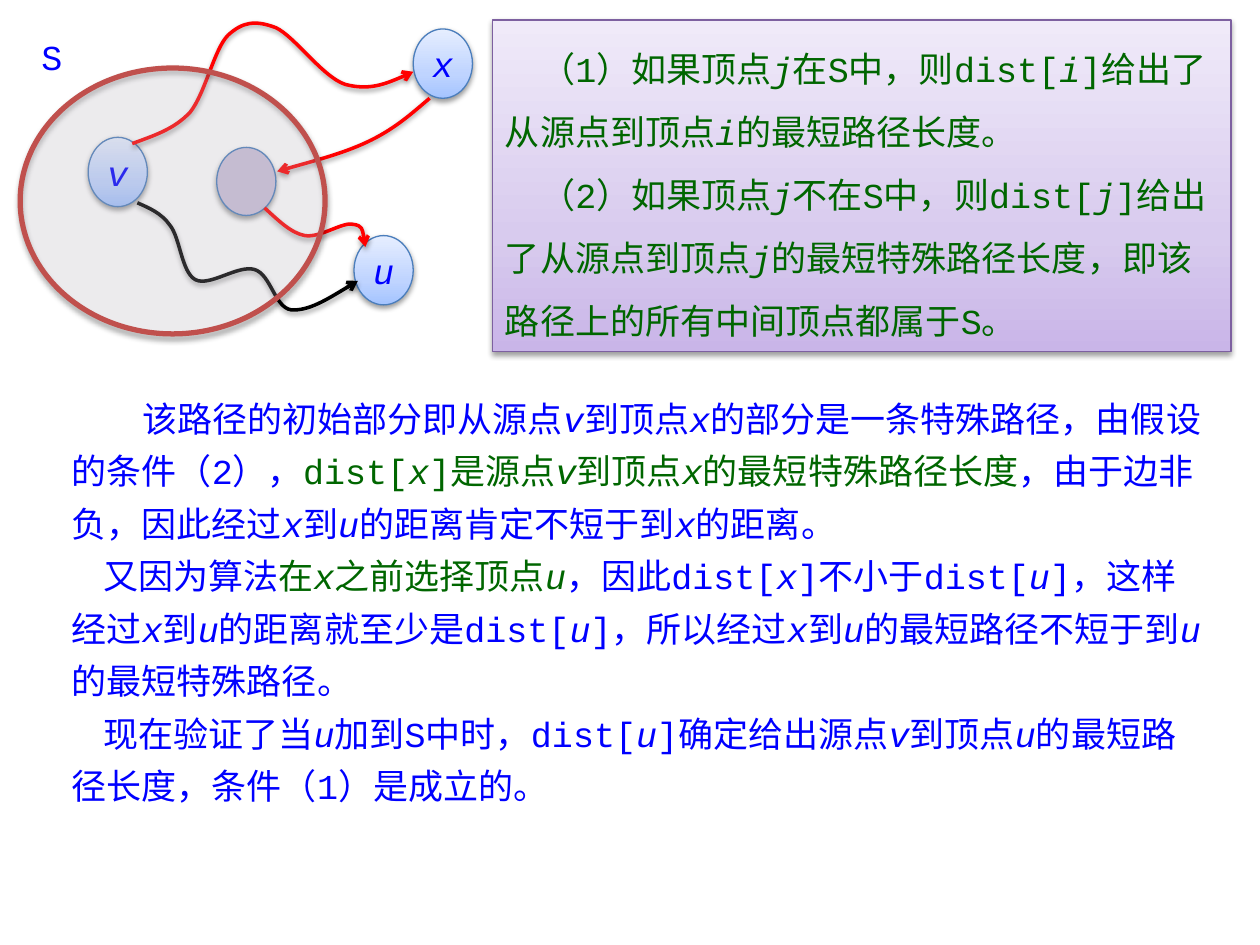
from collections import namedtuple

from lxml.etree import SubElement
from pptx import Presentation
from pptx.dml.color import RGBColor
from pptx.enum.shapes import MSO_SHAPE as Preset
from pptx.enum.text import MSO_ANCHOR as Anchor, PP_ALIGN as Align
from pptx.oxml.ns import qn
from pptx.util import Inches, Pt

# The slide is a grid of 1000 columns by 750 rows; every length counts its cells.
COLUMNS, ROWS = 1000, 750
CELL = Inches(10) // COLUMNS
FONT = "Courier New"
COLORS = {
    "blue": "0000FF", "green": "006600", "red": "FF0000", "black": "000000",
    "node_line": "4B7EBC", "inner_node": "CCC1DA",
    "set_fill": "E6E0EC", "set_line": "C0504D", "panel_line": "7D60A0",
}
NODE_GRADIENT = ((0, "A4C4FF"), (35, "BFD4FF"), (100, "E6EEFF"))
PANEL_GRADIENT = ((0, "C9B5E8"), (35, "D8CBEE"), (100, "F0EAF9"))

# *...* is italic, |...| takes the accent colour.
CONDITIONS = (
    "（1）如果顶点*j*在S中，则dist[*i*]给出了从源点到顶点*i*的最短路径长度。",
    "（2）如果顶点*j*不在S中，则dist[*j*]给出了从源点到顶点*j*的最短特殊路径长度，"
    "即该路径上的所有中间顶点都属于S。",
)
PROOF = (
    "该路径的初始部分即从源点*v*到顶点*x*的部分是一条特殊路径，由假设的条件（2），"
    "|dist[*x*]是源点*v*到顶点*x*的最短特殊路径长度|，由于边非负，"
    "因此经过*x*到*u*的距离肯定不短于到*x*的距离。",
    "又因为算法|在*x*之前选择顶点*u*|，因此dist[*x*]不小于dist[*u*]，"
    "这样经过*x*到*u*的距离就至少是dist[*u*]，所以经过*x*到*u*的最短路径"
    "不短于到*u*的最短特殊路径。",
    "现在验证了当*u*加到S中时，dist[*u*]确定给出源点*v*到顶点*u*的最短路径长度，"
    "条件（1）是成立的。",
)

# Each path: colour, then a start point and three points for every Bézier curve.
PATHS = (
    ("black", ((109, 161), (118, 165), (128, 169), (135, 179), (143, 189),
               (144, 216), (155, 222), (166, 228), (189, 210), (202, 214),
               (215, 218), (218, 244), (231, 246), (245, 247), (264, 235), (284, 223))),
    ("red", ((105, 114), (121, 108), (138, 103), (151, 89), (163, 74),
             (170, 39), (181, 28), (193, 17), (203, 16), (219, 22),
             (234, 29), (256, 61), (274, 67), (293, 72), (311, 65), (328, 57))),
    ("red", ((341, 78), (328, 89), (315, 101), (295, 111), (275, 121), (248, 128), (220, 136))),
    ("red", ((210, 165), (221, 175), (231, 185), (242, 187), (254, 189), (272, 176),
             (280, 178), (288, 179), (289, 187), (290, 196))),
)


class Box(namedtuple("Box", "left top width height")):
    def inner(self, left, top, width, height):
        return Box(self.left + left, self.top + top, width, height)

    def lengths(self):
        return [cells * CELL for cells in self]


def rgb(name):
    return RGBColor.from_string(COLORS[name])


def write(shape, *paragraphs, color="blue", accent="green", align=Align.LEFT,
          anchor=Anchor.TOP, spacing=None, indents=(), wrap=True):
    frame = shape.text_frame
    frame.word_wrap = wrap
    frame.vertical_anchor = anchor
    for number, text in enumerate(paragraphs):
        paragraph = frame.add_paragraph() if number else frame.paragraphs[0]
        paragraph.alignment = align
        paragraph.line_spacing = spacing
        if indents:
            props = paragraph._p.get_or_add_pPr()
            props.set("marL", "0")
            props.set("indent", str(indents[number] * CELL))
        for part, colored in enumerate(text.split("|")):
            for piece, words in enumerate(colored.split("*")):
                if words:
                    run = paragraph.add_run()
                    run.text = words
                    run.font.name, run.font.size = FONT, Pt(20)
                    run.font.italic = piece % 2 == 1
                    run.font.color.rgb = rgb(accent if part % 2 else color)


def add_color(parent, value):
    return SubElement(parent, qn("a:srgbClr"), val=value)


def set_alpha(color_element, percent):
    SubElement(color_element, qn("a:alpha"), val=str(percent * 1000))


def fill_upward(shape, stops):
    """Fill with a gradient whose first stop lies at the bottom edge."""
    shape.fill.gradient()
    shape.fill.gradient_angle = 90
    stop_list = shape._element.spPr.find(qn("a:gradFill")).find(qn("a:gsLst"))
    for stop in list(stop_list):
        stop_list.remove(stop)
    for percent, value in stops:
        add_color(SubElement(stop_list, qn("a:gs"), pos=str(percent * 1000)), value)


def outline(shape, color, width, opacity=38, distance=1.6):
    """Set the line and the soft shadow straight below the shape."""
    shape.line.color.rgb = rgb(color)
    shape.line.width = Pt(width)
    shape.shadow.inherit = False
    effects = shape._element.spPr.find(qn("a:effectLst"))
    shadow = SubElement(effects, qn("a:outerShdw"), blurRad=str(Pt(3.1)),
                        dist=str(Pt(distance)), dir="5400000", rotWithShape="0")
    set_alpha(add_color(shadow, COLORS["black"]), opacity)


def add_node(shapes, box, name=""):
    node = shapes.add_shape(Preset.OVAL, *box.lengths())
    if name:
        fill_upward(node, NODE_GRADIENT)
        write(node, f"*{name}*", align=Align.CENTER, anchor=Anchor.MIDDLE, wrap=False)
    else:
        node.fill.solid()
        node.fill.fore_color.rgb = rgb("inner_node")
    outline(node, "node_line", 0.75)


def add_path(shapes, box, color, points):
    """Draw a curved arrow through Bézier points given relative to the box."""
    start, *rest = [(box.left + x, box.top + y) for x, y in points]
    builder = shapes.build_freeform(*start, scale=CELL)
    builder.add_line_segments(rest, close=False)
    curve = builder.convert_to_shape()
    curve.fill.background()
    outline(curve, color, 2)
    SubElement(curve.line._get_or_add_ln(), qn("a:tailEnd"), type="arrow")

    segments = list(curve._element.spPr.iter(qn("a:lnTo")))
    outline_path = segments[0].getparent()
    for first in range(0, len(segments), 3):
        bezier = SubElement(outline_path, qn("a:cubicBezTo"))
        for segment in segments[first:first + 3]:
            bezier.append(segment[0])
            outline_path.remove(segment)


def add_graph(shapes, box):
    for name, left, top in (("v", 70, 109), ("x", 328, 23), ("u", 281, 187)):
        add_node(shapes, box.inner(left, top, 47, 55), name)
    add_node(shapes, box.inner(172, 117, 47, 54))
    for color, points in PATHS:
        add_path(shapes, box, color, points)

    vertex_set = shapes.add_shape(Preset.OVAL, *box.inner(16, 54, 242, 211).lengths())
    vertex_set.fill.solid()
    vertex_set.fill.fore_color.rgb = rgb("set_fill")
    set_alpha(vertex_set._element.spPr.find(qn("a:solidFill"))[0], 19)
    outline(vertex_set, "set_line", 3, opacity=35, distance=1.8)

    set_label = shapes.add_textbox(*box.inner(23, 23, 39, 44).lengths())
    write(set_label, "S", wrap=False)


def add_conditions(shapes, box):
    panel = shapes.add_shape(Preset.RECTANGLE, *box.lengths())
    fill_upward(panel, PANEL_GRADIENT)
    outline(panel, "panel_line", 0.75)
    write(panel, *CONDITIONS, color="green", spacing=1.5, indents=(28, 28))


def add_proof(shapes, box):
    proof = shapes.add_textbox(*box.lengths())
    write(proof, *PROOF, spacing=Pt(30), indents=(56, 25, 25))


def main():
    deck = Presentation()
    deck.slide_width, deck.slide_height = COLUMNS * CELL, ROWS * CELL
    shapes = deck.slides.add_slide(deck.slide_layouts[6]).shapes
    add_proof(shapes, Box(47, 302, 921, 347))
    add_graph(shapes, Box(0, 0, 391, 280))
    add_conditions(shapes, Box(391, 16, 586, 263))
    deck.save("out.pptx")


if __name__ == "__main__":
    main()
